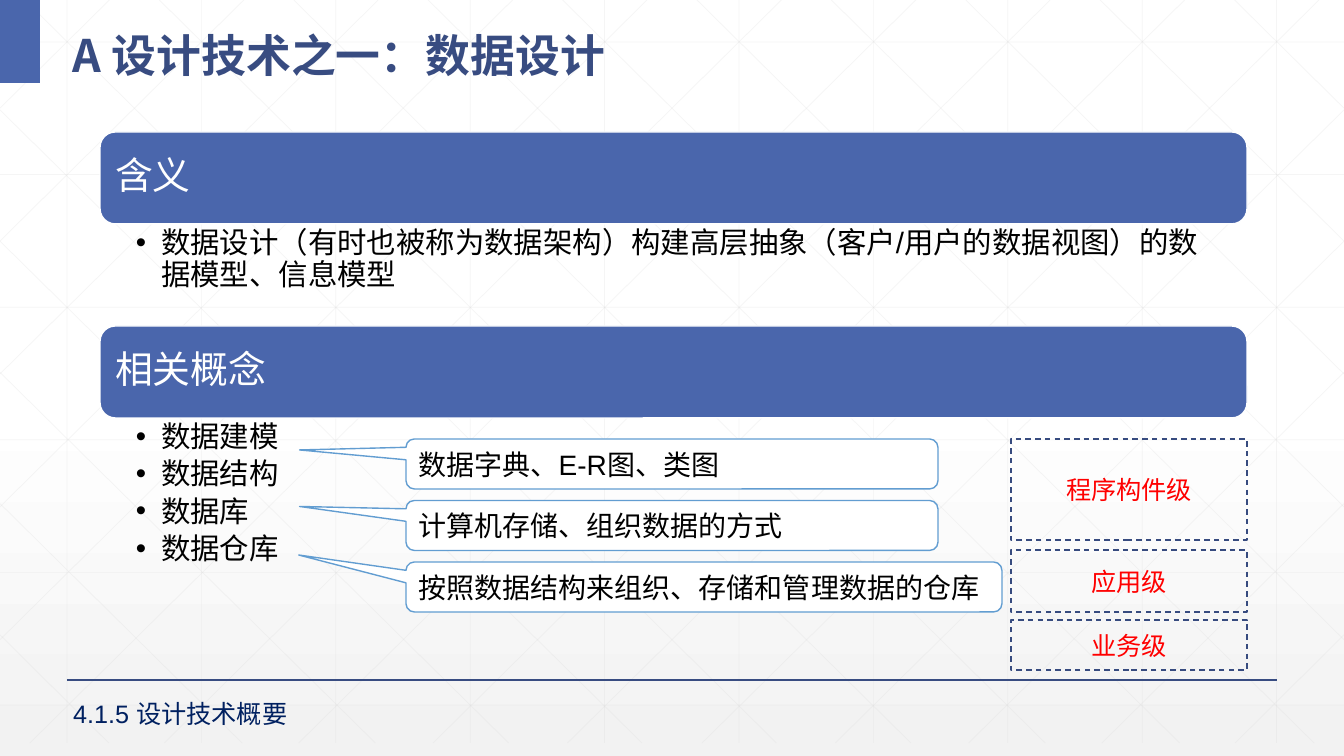
from lxml.etree import SubElement
from pptx import Presentation
from pptx.dml.color import RGBColor
from pptx.enum.dml import MSO_LINE
from pptx.enum.shapes import MSO_CONNECTOR, MSO_SHAPE
from pptx.enum.text import MSO_ANCHOR, PP_ALIGN
from pptx.oxml.ns import qn
from pptx.util import Emu, Pt

# Content
TITLE = "A 设计技术之一：数据设计"
FOOTER = "4.1.5 设计技术概要"
SECTIONS = [  # heading, top, bullets
    ("含义", 132, ["数据设计（有时也被称为数据架构）构建高层抽象（客户/用户的数据视图）的数据模型、信息模型"]),
    ("相关概念", 326, ["数据建模", "数据结构", "数据库", "数据仓库"]),
]
CALLOUTS = [  # text, width, pointer offset
    ("数据字典、E-R图、类图", 532, (-0.7, -0.28)),
    ("计算机存储、组织数据的方式", 532, (-0.7, -0.38)),
    ("按照数据结构来组织、存储和管理数据的仓库", 596, (-0.68, -0.64)),
]
LEVELS = [("程序构件级", 439, 101), ("应用级", 550, 62), ("业务级", 620, 50)]

COLORS = {
    "white": "FFFFFF", "shade": "F2F2F2", "grid": "D9D9D9", "blue": "4A66AC",
    "navy": "384C81", "dash": "374B7F", "sky": "629DD1", "footer": "002060",
    "black": "000000", "red": "FF0000",
}
BODY_FONT, TITLE_FONT = "Arial", "Noto Sans CJK SC"
WIDTH, HEIGHT = 1344, 756
PX = 914400 / 100.8


def px(value):
    return Emu(round(value * PX))


def color(name):
    return RGBColor.from_string(COLORS[name])


deck = Presentation()
deck.slide_width, deck.slide_height = px(WIDTH), px(HEIGHT)
page = deck.slides.add_slide(deck.slide_layouts[6])


def add_line(x1, y1, x2, y2, name, weight, alpha=None):
    line = page.shapes.add_connector(MSO_CONNECTOR.STRAIGHT, px(x1), px(y1), px(x2), px(y2))
    line.line.color.rgb = color(name)
    line.line.width = Pt(weight)
    properties = line._element.spPr
    if alpha:
        SubElement(properties.find(".//" + qn("a:srgbClr")), qn("a:alpha"), val=str(alpha * 1000))
    SubElement(properties, qn("a:effectLst"))


def add_box(kind, left, top, width, height, fill=None, outline=None):
    box = page.shapes.add_shape(kind, px(left), px(top), px(width), px(height))
    box.shadow.inherit = False
    if fill:
        box.fill.solid()
        box.fill.fore_color.rgb = color(fill)
    else:
        box.fill.background()
    if outline:
        box.line.color.rgb = color(outline)
        box.line.width = Pt(1)
    else:
        box.line.fill.background()
    return box


def add_text_box(left, top, width, height):
    return page.shapes.add_textbox(px(left), px(top), px(width), px(height))


def write(box, lines, size, name, font=BODY_FONT, bold=False, anchor=MSO_ANCHOR.MIDDLE,
          align=PP_ALIGN.LEFT, spacing=None, after=None, insets=(10, 5, 10, 5), bullet=False):
    frame = box.text_frame
    frame.word_wrap = True
    frame.vertical_anchor = anchor
    frame.margin_left, frame.margin_top, frame.margin_right, frame.margin_bottom = map(px, insets)
    frame.text = "\n".join(lines)
    for para in frame.paragraphs:
        para.alignment = align
        para.line_spacing = spacing
        para.space_after = after
        if bullet:
            properties = para._p.get_or_add_pPr()
            properties.set("marL", str(px(25)))
            properties.set("indent", str(-px(25)))
            SubElement(properties, qn("a:buFont"), typeface=BODY_FONT)
            SubElement(properties, qn("a:buChar"), char="•")
        for span in para.runs:
            span.font.size = Pt(size)
            span.font.bold = bold
            span.font.name = font
            span.font.color.rgb = color(name)
            SubElement(span.font._element, qn("a:ea"), typeface=font)


# Background gradient
backdrop = page.background.fill
backdrop.gradient()
backdrop.gradient_angle = 270
for stop, (position, name) in zip(backdrop.gradient_stops, [(0.53, "white"), (1, "shade")]):
    stop.position = position
    stop.color.rgb = color(name)

# Background grid: straight lines, then diagonals mirrored left to right
STEP_X, STEP_Y, BOTTOM, RUN = 134.4, 132.6, 743, 751.5
grid = [(67 + STEP_X * i, 0, 67 + STEP_X * i, BOTTOM) for i in range(10)]
grid += [(0, 42 + STEP_Y * i, WIDTH, 42 + STEP_Y * i) for i in range(6)]
diagonals = []
for i in range(10):
    start = 25 + STEP_X * i
    end = min(start + RUN, WIDTH)
    diagonals.append((start, 0, end, (end - start) * BOTTOM / RUN))
diagonals += [(0, 110 + 131.2 * i, 642 - 133.3 * i, BOTTOM) for i in range(5)]
grid += diagonals + [(WIDTH - x1, y1, WIDTH - x2, y2) for x1, y1, x2, y2 in diagonals]
for ends in grid:
    add_line(*ends, "grid", 0.5, alpha=25)

# Page frame
add_line(67, 680, 1277, 680, "navy", 1)
add_box(MSO_SHAPE.RECTANGLE, 0, 0, 40, 83, "blue")

# Sections
for heading, top, bullets in SECTIONS:
    add_box(MSO_SHAPE.ROUNDED_RECTANGLE, 100, top, 1147, 92, "blue", "white")
    write(add_text_box(104, top + 4, 1139, 83), [heading], 27, "white",
          spacing=0.9, insets=(11, 11, 11, 11))
    write(add_text_box(100, top + 92, 1147, 102), bullets, 21, "black", anchor=MSO_ANCHOR.TOP,
          spacing=0.9, after=Pt(4), insets=(36, 4, 21, 4), bullet=True)

# Title
write(add_text_box(63, 10, 1252, 74), [TITLE], 32, "navy", font=TITLE_FONT, bold=True, spacing=1.3)

# Callouts
for i, (text, width, pointer) in enumerate(CALLOUTS):
    box = add_box(MSO_SHAPE.ROUNDED_RECTANGULAR_CALLOUT, 406, 439 + 61.5 * i, width, 50, "white", "sky")
    box.adjustments[0], box.adjustments[1] = pointer
    write(box, [text], 20, "black")

# Footer
write(add_text_box(63, 693, 356, 41), [FOOTER], 18, "footer", anchor=MSO_ANCHOR.TOP)

# Levels
for text, top, height in LEVELS:
    box = add_box(MSO_SHAPE.RECTANGLE, 1011, top, 236, height, outline="dash")
    box.line.dash_style = MSO_LINE.DASH
    write(box, [text], 18, "red", align=PP_ALIGN.CENTER)

deck.save("out.pptx")
